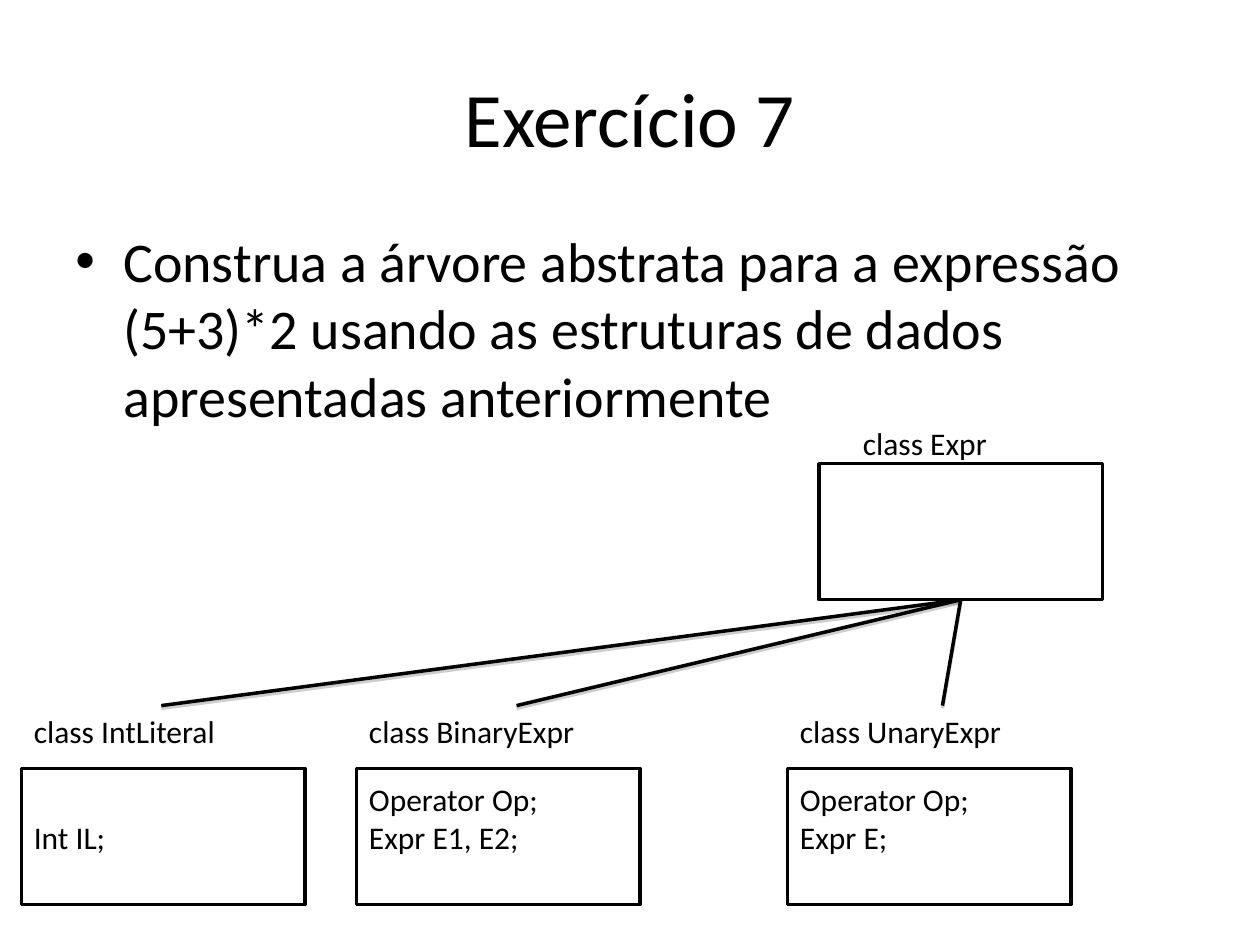
from lxml import etree
from pptx import Presentation
from pptx.dml.color import RGBColor
from pptx.enum.shapes import MSO_CONNECTOR, MSO_SHAPE
from pptx.enum.text import MSO_ANCHOR, PP_ALIGN
from pptx.oxml.ns import qn
from pptx.util import Inches, Pt

RECT = MSO_SHAPE.RECTANGLE
STRAIGHT = MSO_CONNECTOR.STRAIGHT
TOP, MIDDLE = MSO_ANCHOR.TOP, MSO_ANCHOR.MIDDLE
LEFT, CENTER = PP_ALIGN.LEFT, PP_ALIGN.CENTER
BOTTOM_SITE = 2
BOX_W, BOX_H = 2.25, 1.08
SUBCLASS_Y, LABEL_H = 6.1, 0.5


def rgb(value):
    return RGBColor.from_string(value)


def write(tf, text, size=18, color="000000", font="Calibri", align=LEFT,
          anchor=TOP, wrap=True):
    tf.word_wrap = wrap
    tf.vertical_anchor = anchor
    p = tf.paragraphs[0]
    p.text = text
    p.alignment = align
    for r in p.runs:
        r.font.size = Pt(size)
        r.font.name = font
        r.font.color.rgb = rgb(color)
    return p


class ClassDiagram:
    """Draws text, class boxes and inheritance lines on one slide."""

    ink, paper, shade, weight = "000000", "FFFFFF", "808080", 2

    def __init__(self, slide):
        self.s = slide

    def text(self, x, y, w, h, text, shapes=None, **fmt):
        shapes = shapes or self.s.shapes
        sp = shapes.add_textbox(Inches(x), Inches(y), Inches(w), Inches(h))
        return write(sp.text_frame, text, color=self.ink, **fmt)

    def bullet(self, x, y, w, h, text, indent=0.38, **fmt):
        p = self.text(x, y, w, h, text, **fmt)
        pPr = p._p.get_or_add_pPr()
        pPr.set("marL", str(Inches(indent)))
        pPr.set("indent", str(-Inches(indent)))
        before = etree.SubElement(pPr, qn("a:spcBef"))
        etree.SubElement(before, qn("a:spcPct"), val="20000")
        etree.SubElement(pPr, qn("a:buFont"), typeface="Arial")
        etree.SubElement(pPr, qn("a:buChar"), char="•")

    def class_box(self, x, y, name, fields="", label=None, wrap=True):
        shapes = self.s.shapes.add_group_shape().shapes
        sp = shapes.add_shape(RECT, Inches(x), Inches(y), Inches(BOX_W), Inches(BOX_H))
        sp.shadow.inherit = False
        sp.fill.solid()
        sp.fill.fore_color.rgb = rgb(self.paper)
        sp.line.color.rgb = rgb(self.ink)
        sp.line.width = Pt(self.weight)
        write(sp.text_frame, fields, color=self.ink, anchor=MIDDLE)
        label = label or (x, y - LABEL_H, BOX_W, LABEL_H)
        self.text(*label, f"class {name}", shapes=shapes, wrap=wrap)
        return sp

    def inherit_line(self, x, y, parent):
        cn = self.s.shapes.add_connector(STRAIGHT, Inches(x), Inches(y), Inches(x), Inches(y))
        cn.end_connect(parent, BOTTOM_SITE)
        cn.line.color.rgb = rgb(self.ink)
        cn.line.width = Pt(self.weight)
        effects = etree.SubElement(cn._element.spPr, qn("a:effectLst"))
        shadow = etree.SubElement(effects, qn("a:outerShdw"), blurRad="0",
                                  dist=str(Pt(1.6)), dir="5400000", rotWithShape="0")
        color = etree.SubElement(shadow, qn("a:srgbClr"), val=self.shade)
        etree.SubElement(color, qn("a:alpha"), val="38000")


def main():
    prs = Presentation()
    prs.slide_width, prs.slide_height = Inches(10), Inches(7.5)
    d = ClassDiagram(prs.slides.add_slide(prs.slide_layouts[6]))

    d.text(0.5, 0.3, 9, 1.25, "Exercício 7", size=44, align=CENTER, anchor=MIDDLE)
    d.bullet(0.5, 1.75, 9, 1.69,
             "Construa a árvore abstrata para a expressão (5+3)*2 usando as "
             "estruturas de dados apresentadas anteriormente", size=32)

    expr = d.class_box(6.5, 3.68, "Expr", label=(6.75, 3.32, 1.19, 0.4), wrap=False)
    subclasses = [
        (0.17, 1.28, "IntLiteral", "Int IL;"),
        (2.83, 4.1, "BinaryExpr", "Operator Op;\nExpr E1, E2;\n"),
        (6.25, 7.48, "UnaryExpr", "Operator Op;\nExpr E;\n"),
    ]
    for x, _, name, fields in subclasses:
        d.class_box(x, SUBCLASS_Y, name, fields)
    for _, line_x, _, _ in subclasses:
        d.inherit_line(line_x, SUBCLASS_Y - LABEL_H, expr)

    prs.save("out.pptx")


if __name__ == "__main__":
    main()
